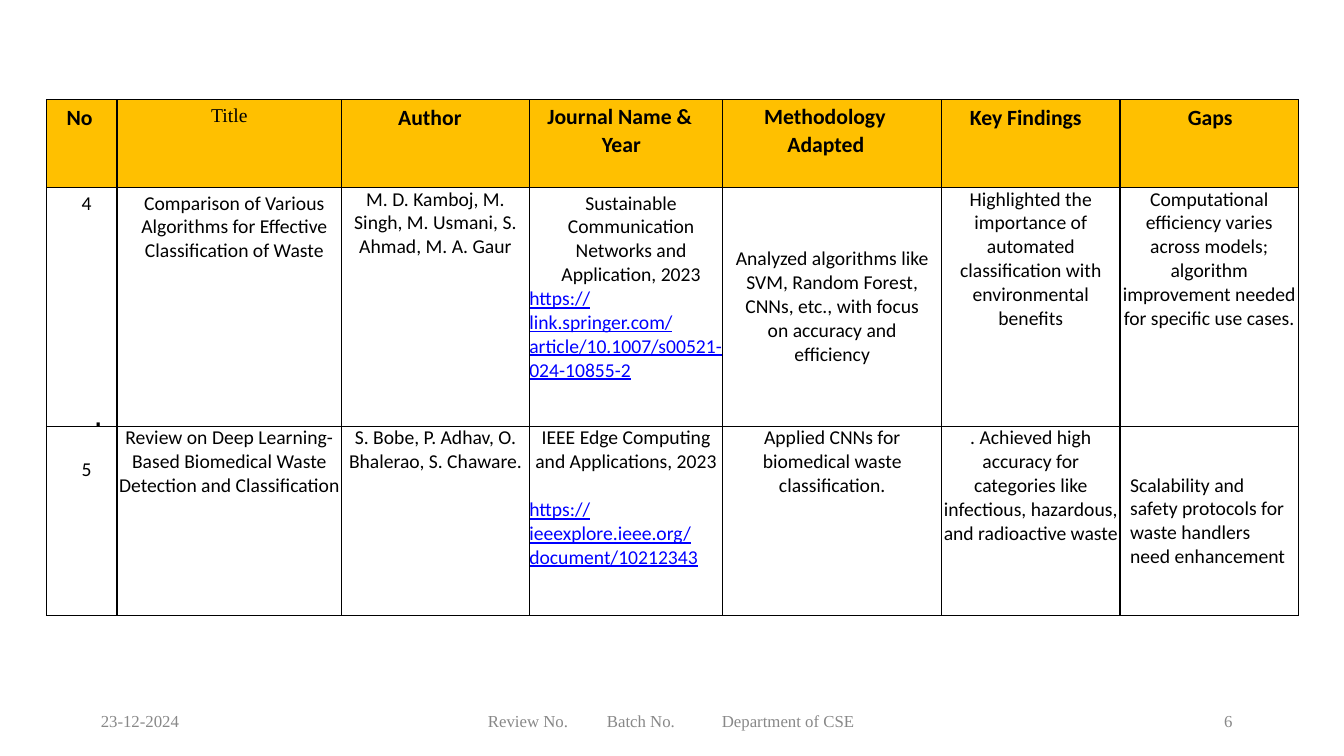
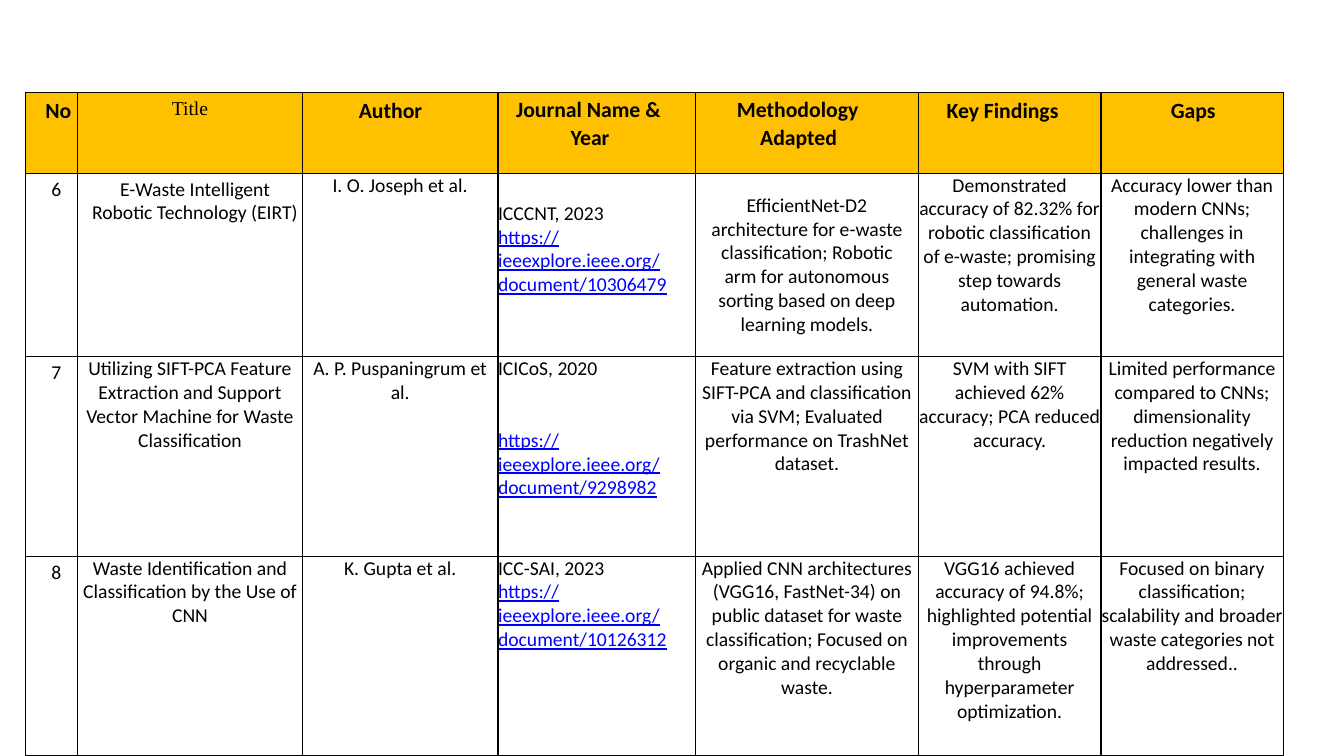
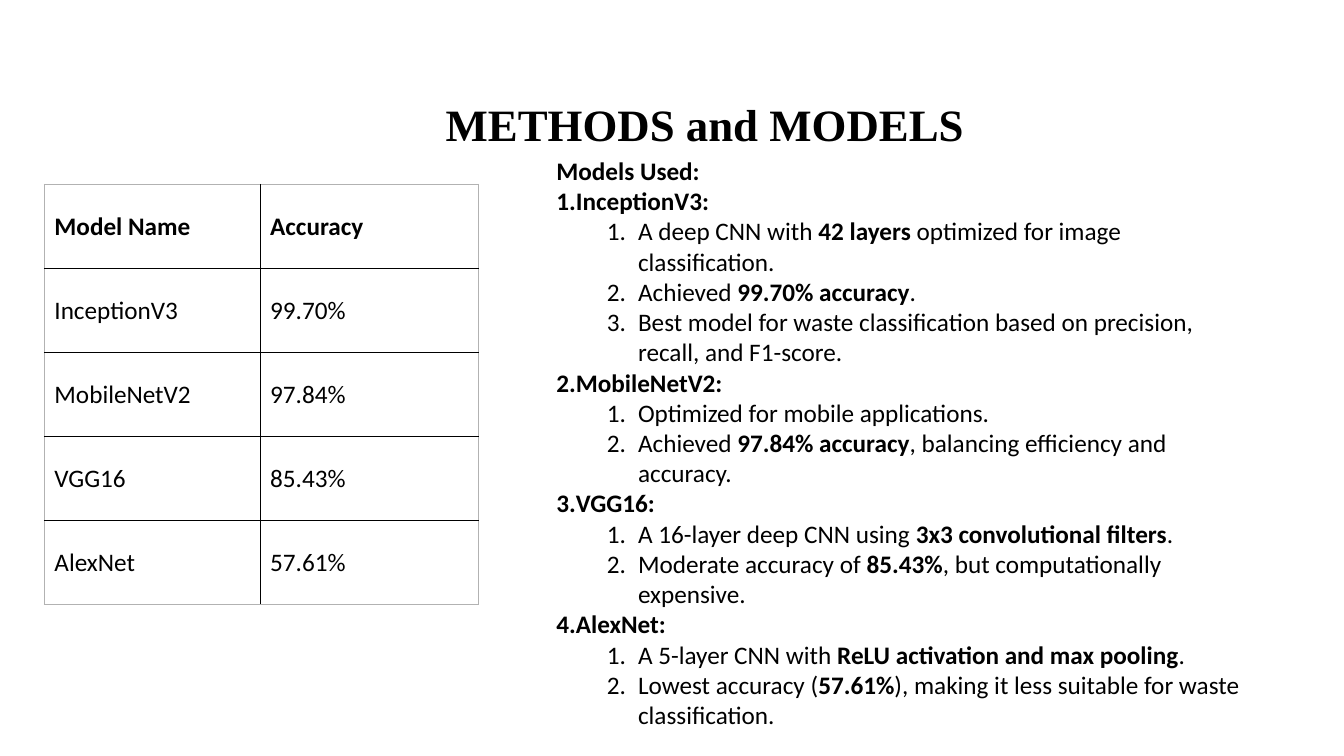
import pptx
import pptx.util
import pptx.dml.color
import pptx.enum.text
import lxml.etree

Inches = pptx.util.Inches
Pt = pptx.util.Pt
ALIGN = pptx.enum.text.PP_ALIGN
MIDDLE = pptx.enum.text.MSO_ANCHOR.MIDDLE
HUES = {"ink": "000000", "head": "FFC000", "link": "0000FF", "foot": "888888", "edge": "B2B2B2"}
TIMES = "Times New Roman"
DRAW = "{http://schemas.openxmlformats.org/drawingml/2006/main}"
LINE = 17.1  # points in one line of 14 pt body text

deck = pptx.Presentation()
deck.slide_width, deck.slide_height = Inches(13.33), Inches(7.5)
blank = deck.slide_layouts[6]


def write(para, text, size, face="Calibri", hue="ink", bold=False, left=0, hang=0, number=False):
    """Fill a paragraph; parts between asterisks are bold."""
    props = para._p.get_or_add_pPr()
    props.set("marL", str(Inches(left)))
    props.set("indent", str(Inches(hang)))
    if number:
        lxml.etree.SubElement(props, DRAW + "buAutoNum", type="arabicPeriod")
    for place, part in enumerate(text.split("*")):
        if part:
            run = para.add_run()
            run.text = part
            if place % 2:
                run.font.bold = True
    font = para.font
    font.name, font.size, font.bold = face, Pt(size), bold
    font.color.rgb = pptx.dml.color.RGBColor.from_string(HUES[hue])


def grid(slide, left, top, widths, heights, edge="ink"):
    """Add a table with ruled, unfilled cells."""
    frame = slide.shapes.add_table(len(heights), len(widths), Inches(left), Inches(top),
                                   Inches(sum(widths)), Inches(sum(heights)))
    table = frame.table
    table.first_row = table.horz_banding = False
    for col, width in zip(table.columns, widths):
        col.width = Inches(width)
    for row, height in zip(table.rows, heights):
        row.height = Inches(height)
    for r in range(len(heights)):
        for c in range(len(widths)):
            cell = table.cell(r, c)
            props = cell._tc.get_or_add_tcPr()
            sides = {"lnL": c == 0, "lnR": c == len(widths) - 1,
                     "lnT": r == 0, "lnB": r == len(heights) - 1}
            for side, outer in sides.items():
                rule = lxml.etree.SubElement(props, DRAW + side, w=str(Pt(1)))
                fill = lxml.etree.SubElement(rule, DRAW + "solidFill")
                lxml.etree.SubElement(fill, DRAW + "srgbClr", val=HUES[edge if outer else "ink"])
            cell.fill.background()
    return table


# Literature survey: heading, left indent, hanging indent, top margin
heads = [
    ("No", 0.2, 0, 0.05),
    ("Title", 0, 0, 0.05),
    ("Author", 0.56, 0, 0.05),
    ("Journal Name & Year", 0.72, -0.54, 0.03),
    ("Methodology Adapted", 0.64, -0.23, 0.03),
    ("Key Findings", 0.28, 0, 0.05),
    ("Gaps", 0.02, 0, 0.05),
]

# The journal cell holds its name, the blank lines before the link, and the link
first = [
    ["4", "Comparison of Various Algorithms for Effective Classification of Waste",
     "M. D. Kamboj, M. Singh, M. Usmani, S. Ahmad, M. A. Gaur",
     ("Sustainable Communication Networks and Application, 2023", 0,
      "https://link.springer.com/article/10.1007/s00521-024-10855-2"),
     "Analyzed algorithms like SVM, Random Forest, CNNs, etc., with focus on accuracy and efficiency",
     "Highlighted the importance of automated classification with environmental benefits",
     "Computational efficiency varies across models; algorithm improvement needed "
     "for specific use cases."],
    ["5", "Review on Deep Learning-Based Biomedical Waste Detection and Classification",
     "S. Bobe, P. Adhav, O. Bhalerao, S. Chaware.",
     ("IEEE Edge Computing and Applications, 2023", 1,
      "https://ieeexplore.ieee.org/document/10212343"),
     "Applied CNNs for biomedical waste classification.",
     ". Achieved high accuracy for categories like infectious, hazardous, and radioactive waste",
     "Scalability and safety protocols for waste handlers need enhancement"],
]
second = [
    ["6", "E-Waste Intelligent Robotic Technology (EIRT)", "I. O. Joseph et al.",
     ("ICCCNT, 2023", 0, "https://ieeexplore.ieee.org/document/10306479"),
     "EfficientNet-D2 architecture for e-waste classification; Robotic arm for autonomous "
     "sorting based on deep learning models.",
     "Demonstrated accuracy of 82.32% for robotic classification of e-waste; promising step "
     "towards automation.",
     "Accuracy lower than modern CNNs; challenges in integrating with general waste categories."],
    ["7", "Utilizing SIFT-PCA Feature Extraction and Support Vector Machine for Waste Classification",
     "A. P. Puspaningrum et al.",
     ("ICICoS, 2020", 2, "https://ieeexplore.ieee.org/document/9298982"),
     "Feature extraction using SIFT-PCA and classification via SVM; Evaluated performance "
     "on TrashNet dataset.",
     "SVM with SIFT achieved 62% accuracy; PCA reduced accuracy.",
     "Limited performance compared to CNNs; dimensionality reduction negatively impacted results."],
    ["8", "Waste Identification and Classification by the Use of CNN", "K. Gupta et al.",
     ("ICC-SAI, 2023", 0, "https://ieeexplore.ieee.org/document/10126312"),
     "Applied CNN architectures (VGG16, FastNet-34) on public dataset for waste classification; "
     "Focused on organic and recyclable waste.",
     "VGG16 achieved accuracy of 94.8%; highlighted potential improvements through "
     "hyperparameter optimization.",
     "Focused on binary classification; scalability and broader waste categories not addressed.."],
]
surveys = [
    (first, 0.46, 0.99, [0.7, 2.23, 1.86, 1.92, 2.17, 1.77, 1.77], [0.87, 2.37, 1.88]),
    (second, 0.25, 0.92, [0.52, 2.23, 1.94, 1.96, 2.21, 1.81, 1.81], [0.8, 1.82, 1.98, 1.98]),
]
lower = {"5": 0.31, "ICCCNT, 2023": 0.28}  # cells that start one line down
centred = {"4", "5"}  # rows whose journal name is centred

notes = [
    (1, 7.05, "23-12-2024", 12, TIMES, "foot"),
    (4.84, 7.05, "Review No.", 12, TIMES, "foot"),
    (6.02, 7.05, "Batch No.", 12, TIMES, "foot"),
    (7.16, 7.05, "Department of CSE", 12, TIMES, "foot"),
    (12.14, 7.05, "6", 12, TIMES, "foot"),
    (0.93, 3.9, ".", 24, "Arial", "ink"),
]

for entries, left, top, widths, heights in surveys:
    slide = deck.slides.add_slide(blank)
    if entries is first:
        for x, y, text, size, face, hue in notes:
            frame = slide.shapes.add_textbox(Inches(x), Inches(y), Inches(1.4), Inches(0.21)).text_frame
            frame.margin_left = frame.margin_right = frame.margin_top = frame.margin_bottom = 0
            frame.word_wrap = True
            write(frame.paragraphs[0], text, size, face, hue)
    table = grid(slide, left, top, widths, heights)

    for c, (text, indent, hang, gap) in enumerate(heads):
        cell = table.cell(0, c)
        cell.fill.solid()
        cell.fill.fore_color.rgb = pptx.dml.color.RGBColor.from_string(HUES["head"])
        cell.margin_left = cell.margin_right = cell.margin_bottom = 0
        cell.margin_top = Inches(gap)
        para = cell.text_frame.paragraphs[0]
        if text in ("Title", "Gaps"):
            para.alignment = ALIGN.CENTER
        if hang:
            para.line_spacing = 1.05
        if text == "Title":
            write(para, text, 14, TIMES)
        else:
            write(para, text, 15.5, bold=True, left=indent, hang=hang)

    for r, entry in enumerate(entries, 1):
        for c, item in enumerate(entry):
            cell = table.cell(r, c)
            text, gap, link = item if c == 3 else (item, 0, "")
            inset = c == 0 or r == 1 and (c == 1 or c == 3)
            para = cell.text_frame.paragraphs[0]
            aside = entry[0] == "5" and c == 6
            if aside or r == 1 and c == 4:
                cell.vertical_anchor = MIDDLE
            else:
                cell.margin_left = cell.margin_right = cell.margin_bottom = 0
                cell.margin_top = Inches(lower.get(text, 0.04 if inset else 0))
            flush = aside or c == 3 and entry[0] not in centred
            if not flush:
                para.alignment = ALIGN.CENTER
            write(para, text, 14, left=0.1 if inset and not flush else 0)
            if link:
                para = cell.text_frame.add_paragraph()
                if gap:
                    para.space_before = Pt(gap * LINE)
                write(para, link, 14, hue="link")
                para.font.underline = True

# Methods and models
slide = deck.slides.add_slide(blank)
frame = slide.shapes.add_textbox(Inches(4.42), Inches(0.96), Inches(6), Inches(0.53)).text_frame
frame.margin_left = frame.margin_right = frame.margin_top = frame.margin_bottom = 0
frame.word_wrap = True
write(frame.paragraphs[0], "METHODS and MODELS", 32, TIMES, bold=True)

scores = [("Model Name", "Accuracy"), ("InceptionV3", "99.70%"), ("MobileNetV2", "97.84%"),
          ("VGG16", "85.43%"), ("AlexNet", "57.61%")]
table = grid(slide, 0.44, 1.83, [2.14, 2.17], [4.17 / len(scores)] * len(scores), "edge")
for r, score in enumerate(scores):
    for c, text in enumerate(score):
        cell = table.cell(r, c)
        cell.vertical_anchor = MIDDLE
        write(cell.text_frame.paragraphs[0], text, 18, bold=r == 0)

models = {
    "InceptionV3:": ["A deep CNN with *42 layers* optimized for image classification.",
                     "Achieved *99.70% accuracy*.",
                     "Best model for waste classification based on precision, recall, and F1-score."],
    "MobileNetV2:": ["Optimized for mobile applications.",
                     "Achieved *97.84% accuracy*, balancing efficiency and accuracy."],
    "VGG16:": ["A 16-layer deep CNN using *3x3 convolutional filters*.",
               "Moderate accuracy of *85.43%*, but computationally expensive."],
    "AlexNet:": ["A 5-layer CNN with *ReLU activation and max pooling*.",
                 "Lowest accuracy (*57.61%*), making it less suitable for waste classification."],
}
frame = slide.shapes.add_textbox(Inches(5.42), Inches(1.49), Inches(7.08), Inches(6.16)).text_frame
frame.word_wrap = True
write(frame.paragraphs[0], "Models Used:", 18, bold=True)
for model, facts in models.items():
    write(frame.add_paragraph(), model, 18, bold=True, number=True)
    for fact in facts:
        para = frame.add_paragraph()
        para.level = 1
        write(para, fact, 18, left=0.81, hang=-0.31, number=True)

deck.save("out.pptx")
